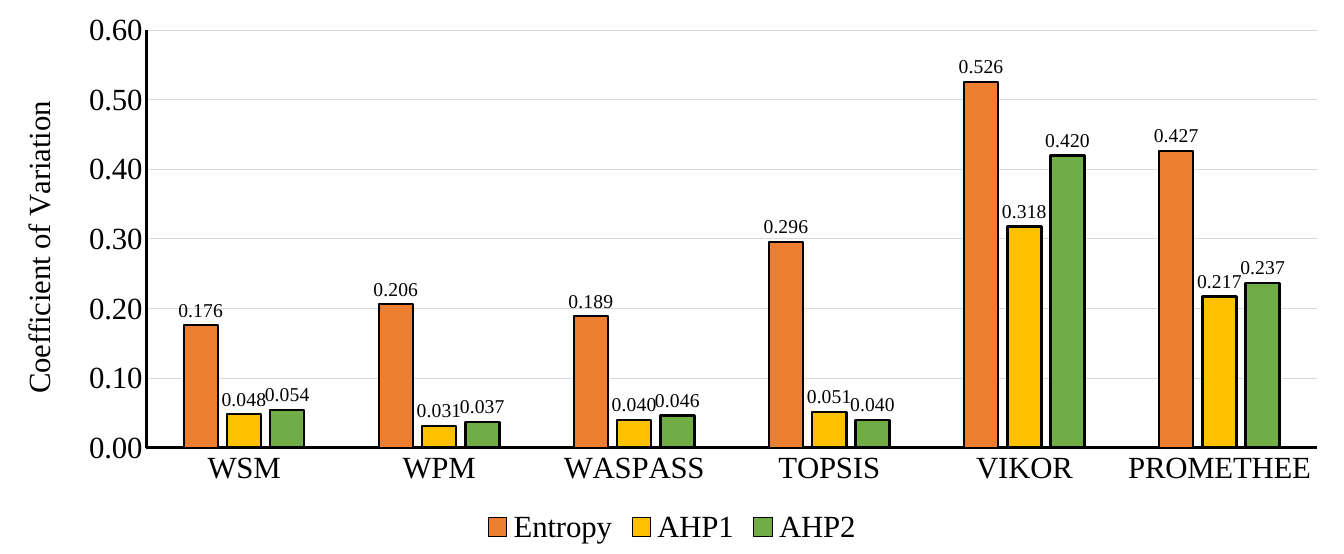
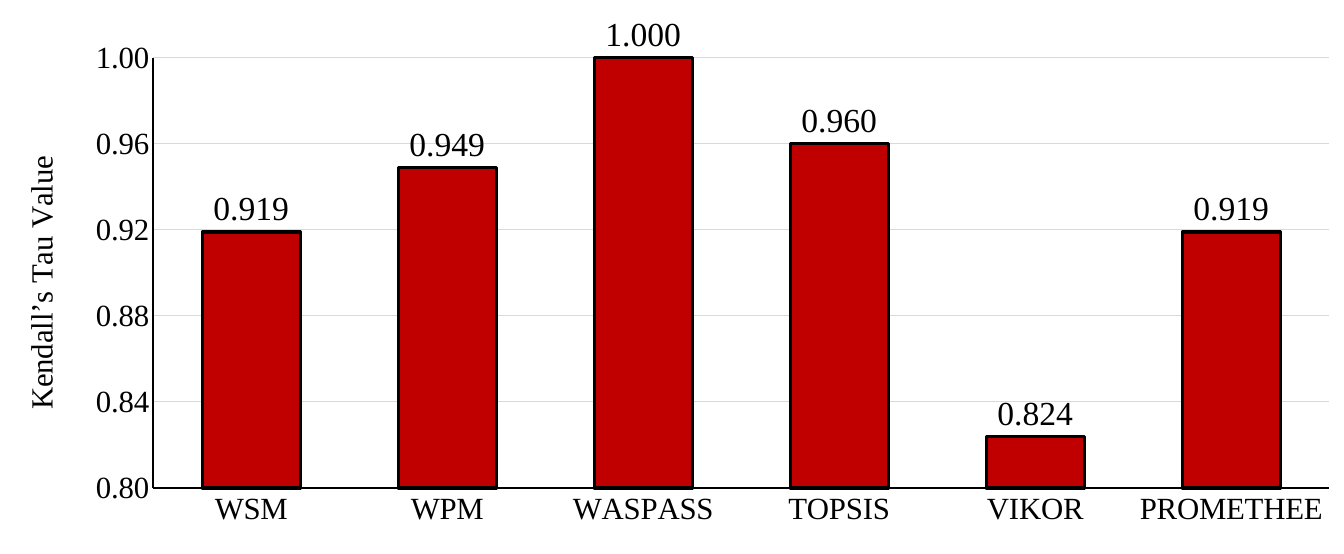
from dataclasses import dataclass

import pptx
import pptx.chart.data
import pptx.dml.color
import pptx.enum.chart
import pptx.oxml
import pptx.oxml.ns
import pptx.util
from pptx.util import Inches


@dataclass(frozen=True)
class Theme:
    font: str = "Times New Roman"
    ink: str = "000000"
    grid: str = "D9D9D9"
    text_size: float = 22
    axis_width: float = 1.75
    grid_width: float = 0.75


THEME = Theme()
SLIDE_WIDTH = Inches(40 / 3)
SLIDE_HEIGHT = Inches(5.5)
METHODS = ["WSM", "WPM", "WASPASS", "TOPSIS", "VIKOR", "PROMETHEE"]

# Series are (name, fill, outline width, values).
# Plot is (left, top, width, height) and title_at (left, top), as chart fractions.
CHARTS = [
    dict(
        title="Coefficient of Variation", title_at=(0.01, 0.17),
        series=[
            ("Entropy", "ED7D31", 1.5, [0.176, 0.206, 0.189, 0.296, 0.526, 0.427]),
            ("AHP1", "FFC000", 1.75, [0.048, 0.031, 0.040, 0.051, 0.318, 0.217]),
            ("AHP2", "70AD47", 1.75, [0.054, 0.037, 0.046, 0.040, 0.420, 0.237]),
        ],
        scale=(0, 0.6, 0.1), plot=(0.109, 0.05, 0.871, 0.763),
        gap=219, overlap=-27, label_size=14, legend=True,
    ),
    dict(
        title="Kendall’s Tau Value", title_at=(0.012, 0.27),
        series=[
            ("Series 1", "C00000", 2.25, [0.919, 0.949, 1.000, 0.960, 0.824, 0.919]),
        ],
        scale=(0.8, 1, 0.04), plot=(0.114, 0.1, 0.875, 0.787),
        gap=100, overlap=0, label_size=24, legend=False,
    ),
]


def style_font(font, size=THEME.text_size, color=THEME.ink):
    font.name = THEME.font
    font.size = pptx.util.Pt(size)
    font.bold = False
    font.color.rgb = pptx.dml.color.RGBColor.from_string(color)


def style_line(line, width, color=THEME.ink):
    line.width = pptx.util.Pt(width)
    line.color.rgb = pptx.dml.color.RGBColor.from_string(color)


def write_text(text_frame, text, **font_format):
    run = text_frame.paragraphs[0].add_run()
    run.text = text
    style_font(run.font, **font_format)


def set_layout(parent, index, fractions, target=None):
    """Fix the place (and size, if given) of a chart part."""
    for old_layout in parent.findall(pptx.oxml.ns.qn("c:layout")):
        parent.remove(old_layout)
    entries = [("layoutTarget", target)] if target else []
    entries += [("xMode", "edge"), ("yMode", "edge")]
    entries += zip("xywh", fractions)
    body = "".join(f'<c:{tag} val="{value}"/>' for tag, value in entries)
    parent.insert(index, pptx.oxml.parse_xml(
        f'<c:layout {pptx.oxml.ns.nsdecls("c")}>'
        f"<c:manualLayout>{body}</c:manualLayout></c:layout>"))


def style_axes(chart, content):
    for axis in (chart.category_axis, chart.value_axis):
        axis.major_tick_mark = pptx.enum.chart.XL_TICK_MARK.NONE
        axis.minor_tick_mark = pptx.enum.chart.XL_TICK_MARK.NONE
        style_font(axis.tick_labels.font)
        style_line(axis.format.line, THEME.axis_width)

    axis = chart.value_axis
    axis.minimum_scale, axis.maximum_scale, axis.major_unit = content["scale"]
    axis.tick_labels.number_format = "0.00"
    axis.tick_labels.number_format_is_linked = False
    axis.has_major_gridlines = True
    style_line(axis.major_gridlines.format.line, THEME.grid_width, THEME.grid)

    title = axis.axis_title
    write_text(title.text_frame, content["title"])
    body = title._element.find(".//" + pptx.oxml.ns.qn("a:bodyPr"))
    body.set("rot", "-5400000")
    body.set("vert", "horz")
    set_layout(title._element, 1, content["title_at"])


def style_columns(chart, content):
    plot = chart.plots[0]
    plot.gap_width = content["gap"]
    plot.overlap = content["overlap"]
    plot.vary_by_categories = False
    for series, (_, color, outline, _) in zip(plot.series, content["series"]):
        series.invert_if_negative = False
        series.format.fill.solid()
        series.format.fill.fore_color.rgb = pptx.dml.color.RGBColor.from_string(color)
        style_line(series.format.line, outline)
        labels = series.data_labels
        labels.show_value = True
        labels.number_format = "0.000"
        labels.number_format_is_linked = False
        labels.position = pptx.enum.chart.XL_LABEL_POSITION.OUTSIDE_END
        style_font(labels.font, size=content["label_size"])


def add_column_chart(slide, content):
    data = pptx.chart.data.CategoryChartData()
    data.categories = METHODS
    for name, _, _, values in content["series"]:
        data.add_series(name, values)
    chart = slide.shapes.add_chart(
        pptx.enum.chart.XL_CHART_TYPE.COLUMN_CLUSTERED,
        Inches(0), Inches(0.03), SLIDE_WIDTH, Inches(5.43), data).chart
    chart.has_title = False
    style_font(chart.font)
    style_axes(chart, content)
    style_columns(chart, content)
    plot_area = chart._chartSpace.find(".//" + pptx.oxml.ns.qn("c:plotArea"))
    set_layout(plot_area, 0, content["plot"], target="inner")
    chart.has_legend = content["legend"]
    if chart.has_legend:
        chart.legend.position = pptx.enum.chart.XL_LEGEND_POSITION.BOTTOM
        chart.legend.include_in_layout = False
        style_font(chart.legend.font)


def main():
    presentation = pptx.Presentation()
    presentation.slide_width = SLIDE_WIDTH
    presentation.slide_height = SLIDE_HEIGHT
    for content in CHARTS:
        slide = presentation.slides.add_slide(presentation.slide_layouts[6])
        add_column_chart(slide, content)
    presentation.save("out.pptx")


if __name__ == "__main__":
    main()
